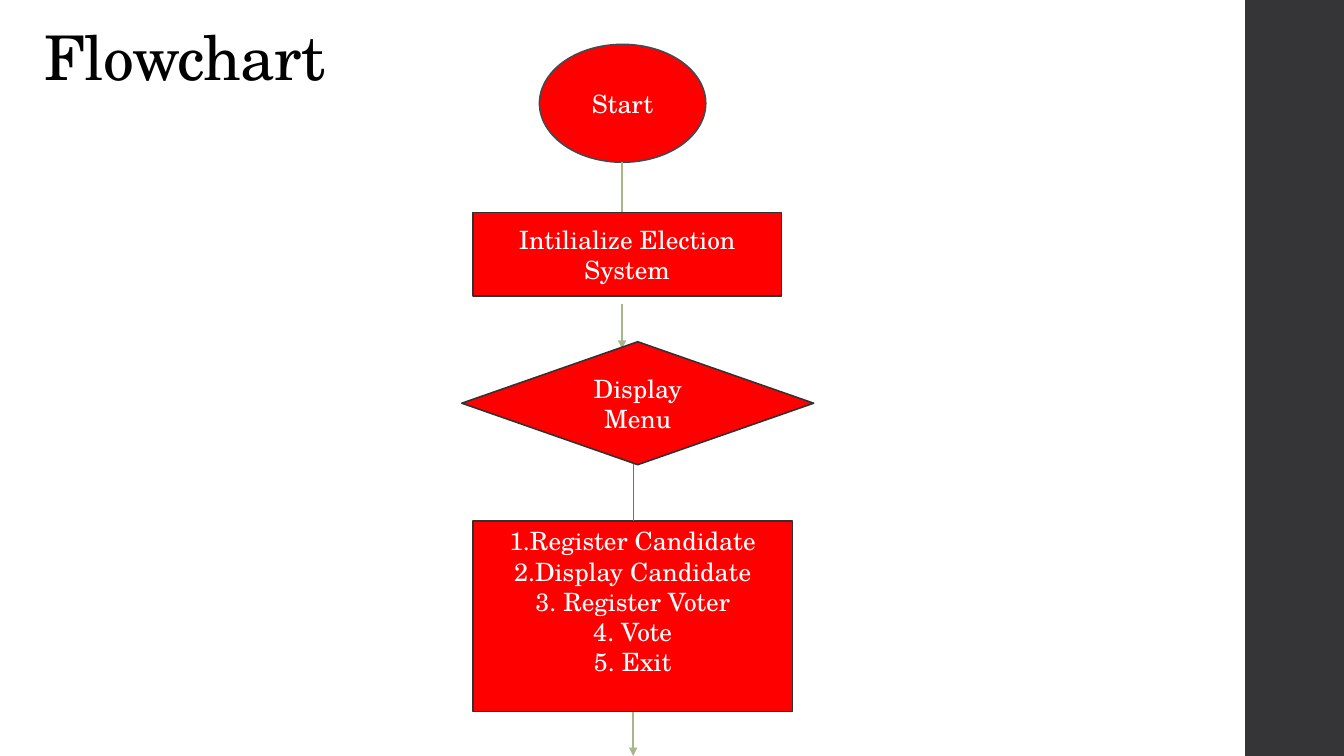
from pptx import Presentation
from pptx.dml.color import RGBColor
from pptx.enum.shapes import MSO_CONNECTOR, MSO_SHAPE
from pptx.enum.text import MSO_ANCHOR, PP_ALIGN
from pptx.oxml.ns import qn
from pptx.util import Inches, Pt
from lxml.etree import SubElement

FONT = "TeX Gyre Schola"
RED = RGBColor(0xFF, 0x00, 0x00)
WHITE = RGBColor(0xFF, 0xFF, 0xFF)
BLACK = RGBColor(0x00, 0x00, 0x00)
CHARCOAL = RGBColor(0x35, 0x35, 0x37)
SLATE = RGBColor(0x40, 0x4A, 0x51)
DARK = RGBColor(0x31, 0x31, 0x33)
SAGE = RGBColor(0xA7, 0xB7, 0x89)
GREY = RGBColor(0x6F, 0x6F, 0x74)

MENU = ["1.Register Candidate", "2.Display Candidate", "3. Register Voter",
        "4. Vote", "5. Exit"]


def add_sidebar(s, x, y, w, h):
    sp = s.shapes.add_shape(MSO_SHAPE.RECTANGLE, Inches(x), Inches(y), Inches(w), Inches(h))
    sp.shadow.inherit = False
    sp.fill.solid()
    sp.fill.fore_color.rgb = CHARCOAL
    sp.line.fill.background()


def add_title(s, text, x, y, w, h):
    sp = s.shapes.title
    sp.left, sp.top, sp.width, sp.height = Inches(x), Inches(y), Inches(w), Inches(h)
    tf = sp.text_frame
    tf.text = text
    tf.vertical_anchor = MSO_ANCHOR.TOP
    p = tf.paragraphs[0]
    p.alignment = PP_ALIGN.LEFT
    p.line_spacing = 0.9
    p.font.name = FONT
    p.font.size = Pt(44)
    p.font.color.rgb = BLACK
    p.runs[0]._r.get_or_add_rPr().set("spc", "-50")


def add_step(s, kind, lines, x, y, w, h, outline=DARK, bottom=0.05):
    sp = s.shapes.add_shape(kind, Inches(x), Inches(y), Inches(w), Inches(h))
    sp.shadow.inherit = False
    sp.fill.solid()
    sp.fill.fore_color.rgb = RED
    sp.line.color.rgb = outline
    sp.line.width = Pt(1.1)
    tf = sp.text_frame
    tf.word_wrap = True
    tf.vertical_anchor = MSO_ANCHOR.MIDDLE
    tf.margin_bottom = Inches(bottom)
    tf.text = "\n".join(lines)
    for p in tf.paragraphs:
        p.alignment = PP_ALIGN.CENTER
        p.font.name = FONT
        p.font.size = Pt(18)
        p.font.color.rgb = WHITE


def add_link(s, x, top, bottom, color=SAGE, width=1.1, arrow=True):
    c = s.shapes.add_connector(MSO_CONNECTOR.STRAIGHT, Inches(x), Inches(top),
                               Inches(x), Inches(bottom))
    c.line.color.rgb = color
    c.line.width = Pt(width)
    if arrow:
        SubElement(c.line._get_or_add_ln(), qn("a:tailEnd"), type="triangle")
    SubElement(c._element.spPr, qn("a:effectLst"))


def add_flowchart(s, x, y):
    upper, lower = x + 1.59, x + 1.7
    add_step(s, MSO_SHAPE.OVAL, ["Start"], x + 0.77, y, 1.65, 1.17, SLATE)
    add_link(s, upper, y + 1.17, y + 1.94)
    add_step(s, MSO_SHAPE.RECTANGLE, ["Intilialize Election System"],
             x + 0.11, y + 1.67, 3.06, 0.83)
    add_link(s, upper, y + 2.58, y + 3.02)
    add_step(s, MSO_SHAPE.RECTANGLE, MENU, x + 0.11, y + 4.73, 3.17, 1.89, bottom=0.35)
    add_link(s, lower, y + 4.07, y + 4.73, GREY, 0.75, arrow=False)
    add_link(s, lower, y + 6.62, y + 7.06)
    add_step(s, MSO_SHAPE.DIAMOND, ["Display Menu"], x, y + 2.95, 3.49, 1.22)


def main():
    prs = Presentation()
    prs.slide_width, prs.slide_height = Inches(13.33), Inches(7.5)
    s = prs.slides.add_slide(prs.slide_layouts[5])
    add_sidebar(s, 12.35, 0, 0.98, 7.5)
    add_title(s, "Flowchart", 0.34, 0.22, 10.6, 1.45)
    add_flowchart(s, 4.58, 0.44)
    prs.save("out.pptx")


if __name__ == "__main__":
    main()
